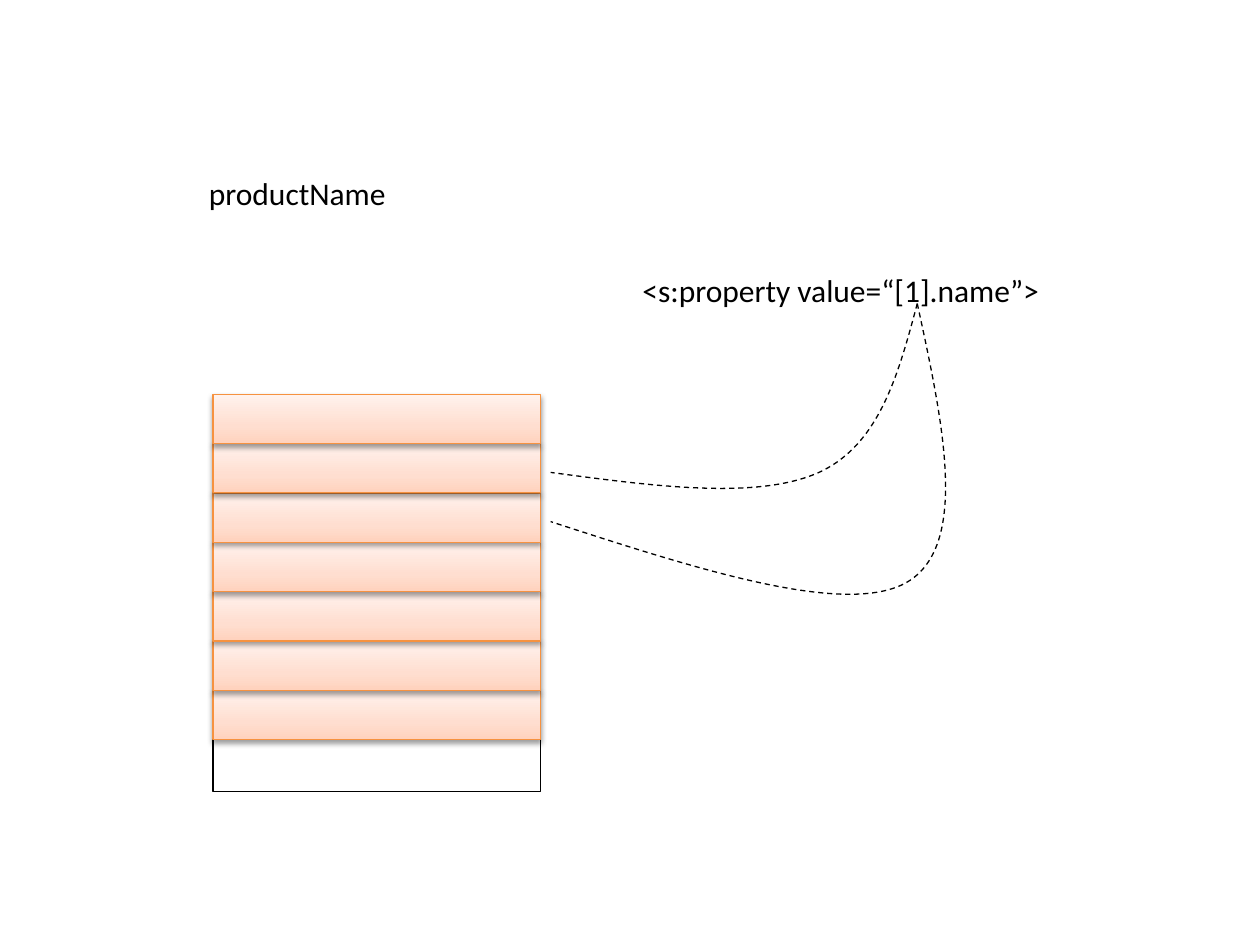
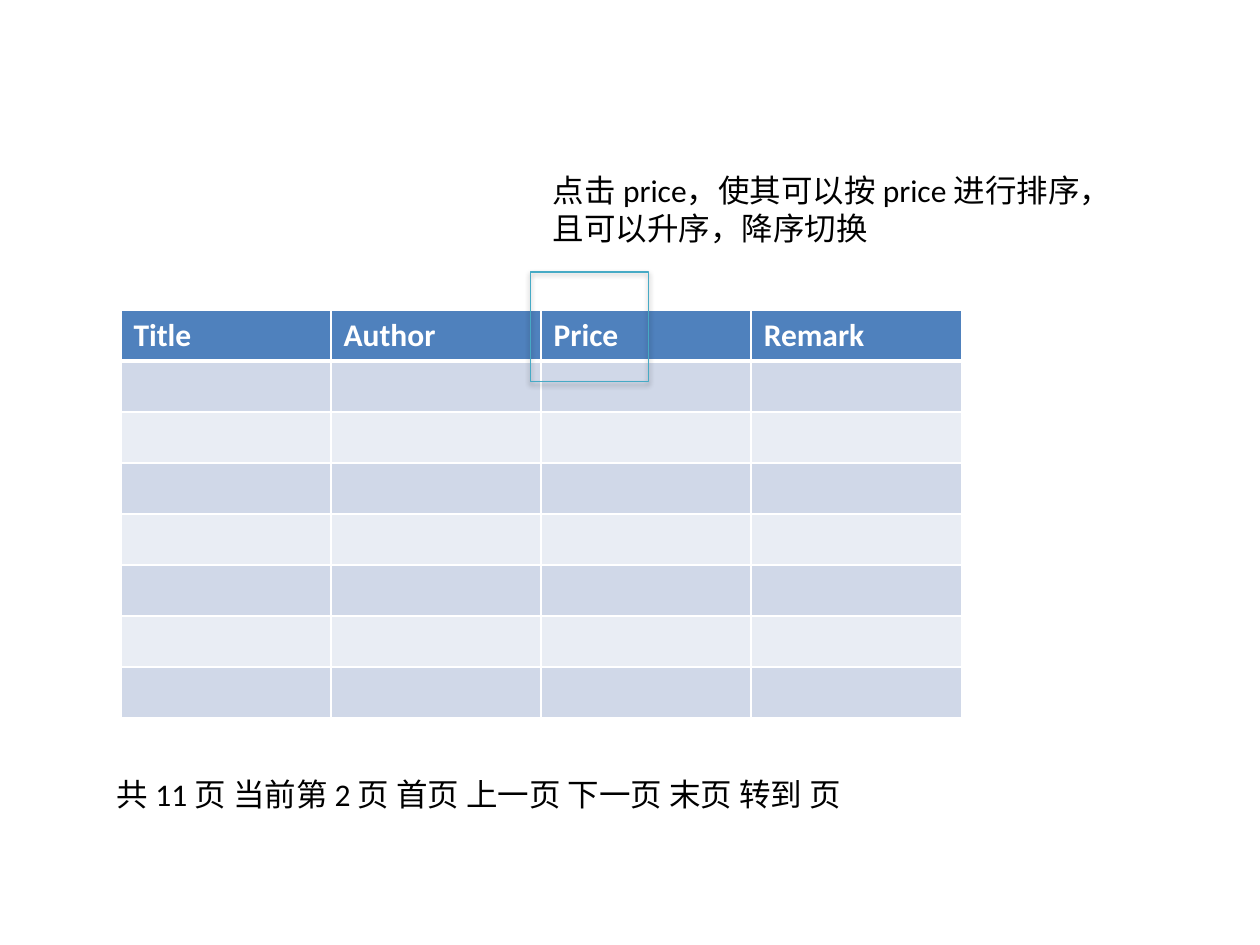
from pptx import Presentation
from pptx.dml.color import RGBColor
from pptx.enum.dml import MSO_LINE
from pptx.enum.shapes import MSO_SHAPE as Shape
from pptx.enum.text import MSO_AUTO_SIZE as AutoSize
from pptx.oxml import parse_xml
from pptx.oxml.ns import nsdecls, qn
from pptx.util import Inches, Pt
from lxml import etree

# Shared look
FONT, SIZE = "Calibri", 18
BLACK, WHITE = "000000", "FFFFFF"
ORANGE, TEAL, BLUE = "F69240", "46AAC5", "4F81BD"
BANDS = ["D0D8E8", "E9EDF4"]
PEACH = [(0, "FFD2BD"), (35, "FFDED0"), (100, "FFF2ED")]

# Slide 1: a stack and the expression that looks into it
STACK_LABELS = [
    ("productName", (1.56, 1.33, 2.27, 0.4)),
    ("<s:property value=“[1].name”>", (5, 2.1, 4.17, 0.4)),
]
STACK_LEFT, STACK_WIDTH = 1.69, 2.6
FRAME_TOP, FRAME_HEIGHT = 3.14, 3.14
FIRST_SLOT, LAST_SLOT, SLOTS, SLOT_HEIGHT = 3.13, 5.48, 7, 0.39
# Start point, then three points for each Bezier segment
LOOKUPS = [
    [(7.28, 2.41), (7.13, 2.97), (6.98, 3.53), (6.5, 3.75),
     (6.01, 3.97), (5.19, 3.86), (4.37, 3.75)],
    [(7.28, 2.41), (7.49, 3.37), (7.69, 4.33), (7.2, 4.62),
     (6.72, 4.9), (5.54, 4.52), (4.37, 4.14)],
]

# Slide 2: a sortable, paged table
HEADERS = ["Title", "Author", "Price", "Remark"]
BODY_ROWS = 7
TABLE_BOX = (0.96, 2.46, 6.67, 3.24)
HIGHLIGHT_BOX = (4.21, 2.16, 0.94, 0.87)
TABLE_LABELS = [
    ("共 11 页 当前第 2 页 首页 上一页 下一页 末页 转到 页", (0.83, 6.1, 6.14, 0.4)),
    ("点击 price，使其可以按 price 进行排序，且可以升序，降序切换",
     (4.29, 1.31, 4.49, 0.71)),
]


def color(code):
    return RGBColor.from_string(code)


def inches(values):
    return [Inches(value) for value in values]


def style_font(para, code, bold=False):
    font = para.font
    font.name, font.size, font.bold = FONT, Pt(SIZE), bold
    font.color.rgb = color(code)


def add_label(page, text, place):
    box = page.shapes.add_textbox(*inches(place))
    frame = box.text_frame
    frame.word_wrap = True
    frame.auto_size = AutoSize.SHAPE_TO_FIT_TEXT
    para = frame.paragraphs[0]
    para.text = text
    style_font(para, BLACK)


def outline(shape, code):
    shape.shadow.inherit = False
    shape.fill.background()
    shape.line.color.rgb = color(code)
    shape.line.width = Pt(0.75)


def add_box(page, place, line):
    box = page.shapes.add_shape(Shape.RECTANGLE, *inches(place))
    outline(box, line)
    return box


def add_shadow(shape):
    effects = shape._element.spPr.find(qn("a:effectLst"))
    effects.append(parse_xml(
        f'<a:outerShdw {nsdecls("a")} blurRad="{Pt(3.1)}" dist="{Pt(1.6)}" '
        f'dir="5400000" rotWithShape="0"><a:srgbClr val="{BLACK}">'
        '<a:alpha val="38000"/></a:srgbClr></a:outerShdw>'))


def fill_gradient(shape, stops):
    shape.fill.gradient()
    shape.fill.gradient_angle = 90
    stop_list = shape._element.spPr.find(".//" + qn("a:gsLst"))
    for stop in list(stop_list):
        stop_list.remove(stop)
    for share, code in stops:
        stop_list.append(parse_xml(
            f'<a:gs {nsdecls("a")} pos="{share * 1000}">'
            f'<a:srgbClr val="{code}"/></a:gs>'))


def add_curve(page, points):
    start, *rest = [inches(point) for point in points]
    builder = page.shapes.build_freeform(*start)
    builder.add_line_segments(rest, close=False)
    curve = builder.convert_to_shape()
    # Each three straight segments become one cubic segment
    lines = list(curve._element.spPr.iter(qn("a:lnTo")))
    for first in range(0, len(lines), 3):
        cubic = etree.Element(qn("a:cubicBezTo"))
        lines[first].addprevious(cubic)
        for line in lines[first:first + 3]:
            cubic.append(line[0])
            line.getparent().remove(line)
    outline(curve, BLACK)
    curve.line.dash_style = MSO_LINE.DASH


def set_borders(cell, bottom):
    properties = cell._tc.get_or_add_tcPr()
    widths = {"lnL": 1, "lnR": 1, "lnT": 1, "lnB": bottom}
    for index, (side, width) in enumerate(widths.items()):
        properties.insert(index, parse_xml(
            f'<a:{side} {nsdecls("a")} w="{Pt(width)}"><a:solidFill>'
            f'<a:srgbClr val="{WHITE}"/></a:solidFill></a:{side}>'))


def add_grid(page):
    table = page.shapes.add_table(
        BODY_ROWS + 1, len(HEADERS), *inches(TABLE_BOX)).table
    for number, row in enumerate(table.rows):
        is_header = number == 0
        for header, cell in zip(HEADERS, row.cells):
            cell.fill.solid()
            cell.fill.fore_color.rgb = color(
                BLUE if is_header else BANDS[(number - 1) % 2])
            set_borders(cell, 3 if is_header else 1)
            para = cell.text_frame.paragraphs[0]
            if is_header:
                para.text = header
            style_font(para, WHITE if is_header else BLACK, is_header)


deck = Presentation()
deck.slide_width, deck.slide_height = Inches(10), Inches(7.5)
blank = deck.slide_layouts[6]

# Slide 1: frame, slots from the bottom up, labels, lookups
page = deck.slides.add_slide(blank)
add_box(page, (STACK_LEFT, FRAME_TOP, STACK_WIDTH, FRAME_HEIGHT), BLACK)
pitch = (LAST_SLOT - FIRST_SLOT) / (SLOTS - 1)
for slot in reversed(range(SLOTS)):
    top = FIRST_SLOT + slot * pitch
    box = add_box(page, (STACK_LEFT, top, STACK_WIDTH, SLOT_HEIGHT), ORANGE)
    fill_gradient(box, PEACH)
    add_shadow(box)
for text, place in STACK_LABELS:
    add_label(page, text, place)
for points in LOOKUPS:
    add_curve(page, points)

# Slide 2: table, highlight on the price header, labels
page = deck.slides.add_slide(blank)
add_grid(page)
add_shadow(add_box(page, HIGHLIGHT_BOX, TEAL))
for text, place in TABLE_LABELS:
    add_label(page, text, place)

deck.save("out.pptx")
